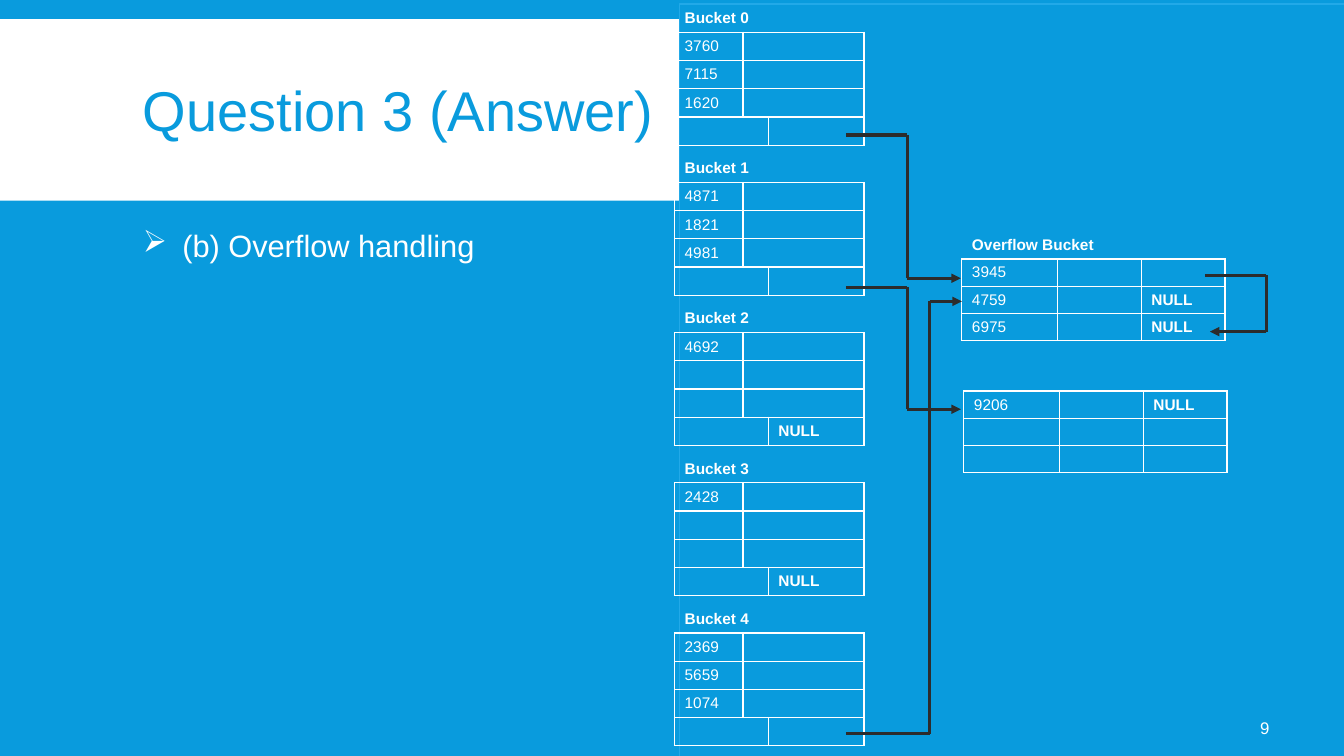
from itertools import pairwise

from lxml import etree
from pptx import Presentation
from pptx.dml.color import RGBColor
from pptx.enum import shapes, text
from pptx.oxml import parse_xml
from pptx.oxml.ns import nsdecls, qn
from pptx.util import Inches, Pt

BLUE, WHITE, INK, EDGE = "099BDD", "FFFFFF", "2C2C2C", "22A9E8"
NO_STYLE = "{2D5ABB26-0587-4C30-8999-92F81FD0307C}"

BUCKET_COLUMNS = [0.68, 0.25, 0.95]
OVERFLOW_COLUMNS = [0.95, 0.83, 0.83]
BUCKET_TOP, BUCKET_PITCH = 0.04, 1.49
# Keys of each bucket and the text of its overflow pointer
BUCKETS = [
    (["3760", "7115", "1620"], ""),
    (["4871", "1821", "4981"], ""),
    (["4692", "", ""], "NULL"),
    (["2428", "", ""], "NULL"),
    (["2369", "5659", "1074"], ""),
]
OVERFLOWS = [
    (9.54, 2.3, "Overflow Bucket", [("3945", ""), ("4759", "NULL"), ("6975", "NULL")]),
    (9.56, 3.61, "", [("9206", "NULL"), ("", ""), ("", "")]),
]
POINTERS = [
    [(8.39, 1.34), (9, 1.34), (9, 2.76), (9.53, 2.76)],
    [(8.39, 2.85), (9, 2.85), (9, 4.06), (9.53, 4.06)],
    [(8.39, 7.28), (9.22, 7.28), (9.22, 2.99), (9.54, 2.99)],
    [(11.95, 2.73), (12.56, 2.73), (12.56, 3.29), (12, 3.29)],
]


def rgb(color):
    return RGBColor.from_string(color)


def style_font(font, color=WHITE, **values):
    font.color.rgb = rgb(color)
    for name, value in {"name": "Arial", **values}.items():
        setattr(font, name, value)


def add_panel(slide, left, top, width, height, fill, edge=None):
    panel = slide.shapes.add_shape(
        shapes.MSO_SHAPE.RECTANGLE, *map(Inches, (left, top, width, height)))
    panel.shadow.inherit = False
    panel.fill.solid()
    panel.fill.fore_color.rgb = rgb(fill)
    if edge:
        panel.line.color.rgb = rgb(edge)
        panel.line.width = Pt(1)
    else:
        panel.line.fill.background()


def add_label(slide, left, top, width, height, wording, size, color=WHITE,
              anchor=text.MSO_ANCHOR.MIDDLE, bullet=None, **paragraph_format):
    box = slide.shapes.add_textbox(*map(Inches, (left, top, width, height)))
    frame = box.text_frame
    frame.word_wrap = True
    frame.vertical_anchor = anchor
    paragraph = frame.paragraphs[0]
    for name, value in paragraph_format.items():
        setattr(paragraph, name, value)
    if bullet:
        properties = paragraph._p.get_or_add_pPr()
        properties.set("marL", str(Inches(0.39)))
        properties.set("indent", str(-Inches(0.39)))
        etree.SubElement(properties, qn("a:buChar")).set("char", bullet)
    run = paragraph.add_run()
    run.text = wording
    style_font(run.font, color, size=Pt(size))


def set_borders(cell, sides):
    """Draw white borders on the given sides, in the order L, R, T, B."""
    properties = cell._tc.get_or_add_tcPr()
    for side in sides:
        properties.append(parse_xml(
            f'<a:ln{side} {nsdecls("a")} w="{Pt(1)}"><a:solidFill>'
            f'<a:srgbClr val="{WHITE}"/></a:solidFill></a:ln{side}>'))


def fill_cell(cell, wording, bold, sides):
    set_borders(cell, sides)
    cell.fill.background()
    cell.vertical_anchor = text.MSO_ANCHOR.MIDDLE
    cell.margin_top = cell.margin_bottom = Inches(0.04)
    paragraph = cell.text_frame.paragraphs[0]
    if wording:
        run = paragraph.add_run()
        run.text = wording
        style_font(run.font, size=Pt(11), bold=bold)
    else:
        end = etree.SubElement(paragraph._p, qn("a:endParaRPr"))
        end.set("sz", "1100")
        etree.SubElement(end, qn("a:latin")).set("typeface", "Arial")


def add_bucket_table(slide, left, top, columns, row_height, rows, merges):
    """Draw a table whose first row is an unboxed title; merges lists (row, first, last)."""
    frame = slide.shapes.add_table(
        len(rows), len(columns), Inches(left), Inches(top),
        Inches(sum(columns)), Inches(row_height * len(rows)))
    table = frame.table
    table.first_row = table.horz_banding = False
    table._tbl.tblPr.find(qn("a:tableStyleId")).text = NO_STYLE
    for column, width in zip(table.columns, columns):
        column.width = Inches(width)
    for r, row in enumerate(rows):
        table.rows[r].height = Inches(row_height)
        for c, wording in enumerate(row):
            fill_cell(table.cell(r, c), wording, r == 0 or c > 0,
                      "LRTB" if r else "B")
    for r, first, last in merges:
        table.cell(r, first).merge(table.cell(r, last))


def add_bucket(slide, number, keys, pointer):
    rows = [(f"Bucket {number}", "", ""), *((key, "", "") for key in keys),
            ("", "", pointer)]
    merges = [(0, 0, 2), (1, 1, 2), (2, 1, 2), (3, 1, 2), (4, 0, 1)]
    add_bucket_table(slide, 6.69, BUCKET_TOP + BUCKET_PITCH * number,
                     BUCKET_COLUMNS, 0.28, rows, merges)


def add_overflow(slide, left, top, title, records):
    rows = [(title, "", ""), *((key, "", link) for key, link in records)]
    add_bucket_table(slide, left, top, OVERFLOW_COLUMNS, 0.27, rows, [(0, 0, 2)])


def add_pointer(slide, corners):
    """Join the corners with straight segments, the last one with an arrowhead."""
    for start, end in pairwise(corners):
        segment = slide.shapes.add_connector(
            shapes.MSO_CONNECTOR.STRAIGHT, *map(Inches, (*start, *end)))
        segment.line.color.rgb = rgb(INK)
        segment.line.width = Pt(2.25)
        etree.SubElement(segment._element.spPr, qn("a:effectLst"))
    outline = segment.line._get_or_add_ln()
    etree.SubElement(outline, qn("a:tailEnd")).set("type", "triangle")


def main():
    deck = Presentation()
    deck.slide_width, deck.slide_height = Inches(13.33), Inches(7.5)
    slide = deck.slides.add_slide(deck.slide_layouts[6])
    slide.background.fill.solid()
    slide.background.fill.fore_color.rgb = rgb(BLUE)

    add_panel(slide, 0, 0.19, 13.33, 1.8, WHITE)
    add_panel(slide, 6.74, 0.04, 6.82, 7.49, BLUE, EDGE)
    add_label(slide, 1.32, 0.31, 10.7, 1.65, "Question 3 (Answer)", 40, BLUE,
              line_spacing=0.85)
    add_label(slide, 1.32, 2.2, 4.23, 4.6, "(b) Overflow handling", 22,
              anchor=text.MSO_ANCHOR.TOP, bullet="➢", space_after=Pt(2))
    add_label(slide, 11.66, 7.02, 1.03, 0.4, "9", 12,
              alignment=text.PP_ALIGN.RIGHT)

    for number, (keys, pointer) in enumerate(BUCKETS):
        add_bucket(slide, number, keys, pointer)
    for overflow in OVERFLOWS:
        add_overflow(slide, *overflow)
    for corners in POINTERS:
        add_pointer(slide, corners)
    deck.save("out.pptx")


if __name__ == "__main__":
    main()
